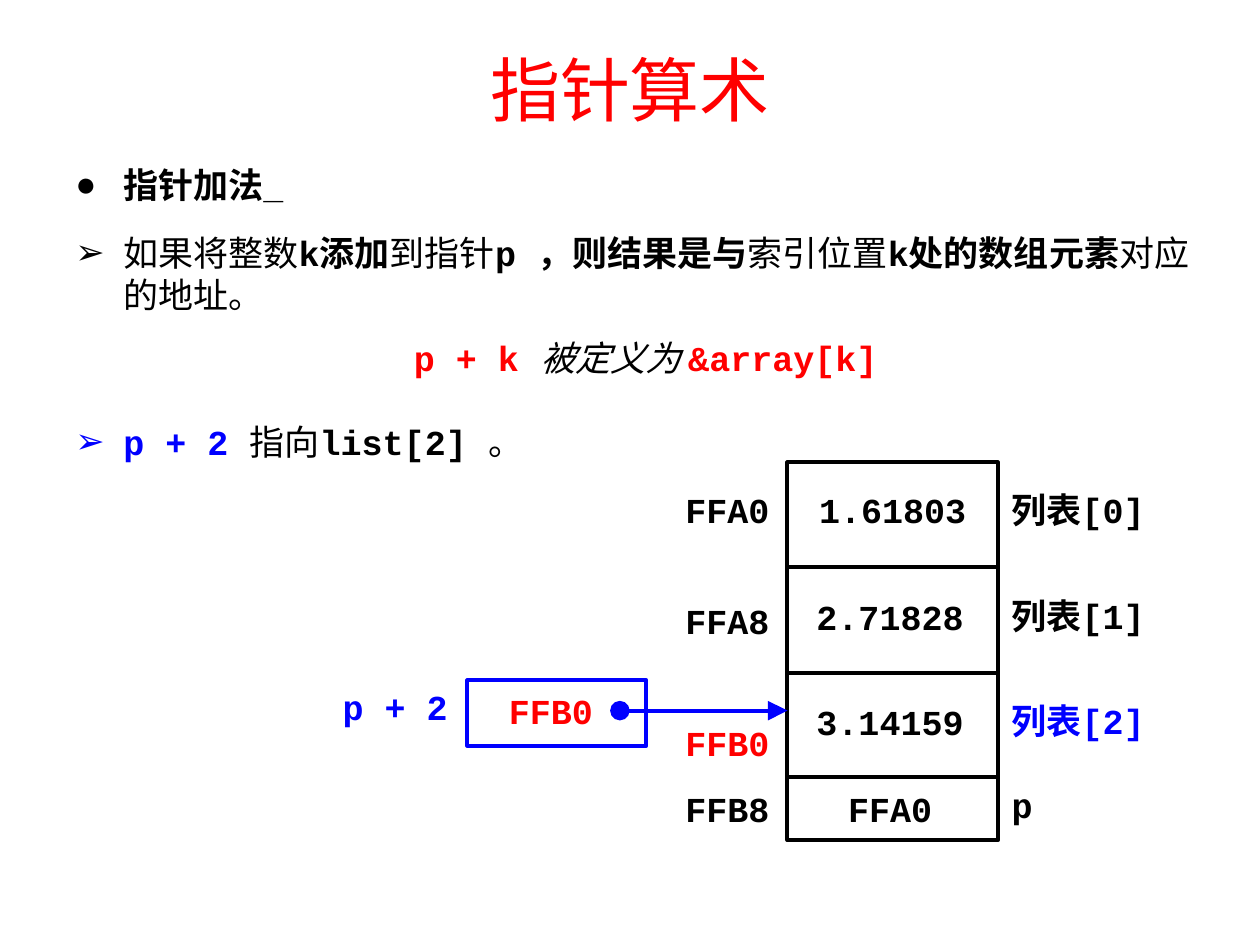
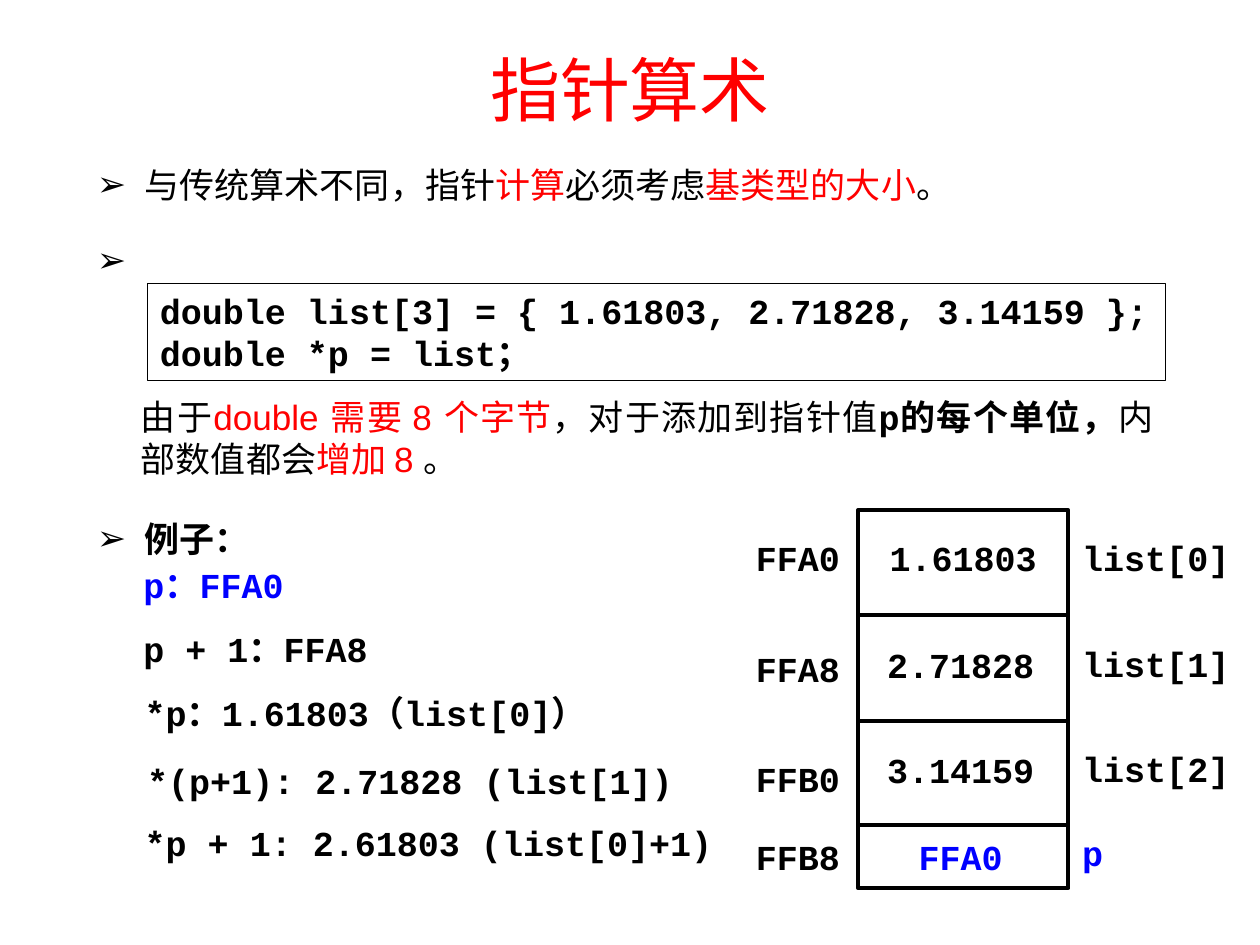
from dataclasses import dataclass

from lxml.etree import SubElement
from pptx import Presentation
from pptx.dml.color import RGBColor
from pptx.enum.shapes import MSO_CONNECTOR as Connector, MSO_SHAPE as Preset
from pptx.enum.text import MSO_ANCHOR as Anchor, PP_ALIGN as Align
from pptx.oxml.ns import qn
from pptx.util import Emu, Pt

# Shared look
BLACK = RGBColor(0x00, 0x00, 0x00)
WHITE = RGBColor(0xFF, 0xFF, 0xFF)
RED = RGBColor(0xFF, 0x00, 0x00)
BLUE = RGBColor(0x00, 0x00, 0xFF)
SANS, MONO, SERIF = "Arial", "Courier New", "Times New Roman"
EMU_PER_PX = 9144  # 100 px to the inch
BODY_SIZE, TITLE_SIZE = 20, 40
RULE_WIDTH, THIN_WIDTH = 2.25, 0.75
HANGING = 38
LABEL_HEIGHT = 50
ARROW, DOT = "➢", "●"


@dataclass(frozen=True)
class Span:
    """A stretch of text in one style; code style by default."""
    text: str
    color: RGBColor = BLACK
    font: str = MONO
    bold: bool = True
    italic: bool = False
    size: int = BODY_SIZE


@dataclass(frozen=True)
class Para:
    spans: tuple[Span, ...]
    align: Align = Align.LEFT
    bullet: str = ""
    before: int = 0
    after: int = 12


@dataclass(frozen=True)
class Cell:
    """One memory cell: its address, stored value and variable name."""
    address: Span
    value: Span
    name: Span
    address_drop: int = 0


@dataclass(frozen=True)
class RowOffset:
    """How far a memory row's upper edge and texts lie below the block's top."""
    edge: int
    address: int
    value: int
    name: int


@dataclass(frozen=True)
class Example:
    left: int
    top: int
    span: Span


# Memory block: three doubles and the pointer p
BLOCK_WIDTH, BLOCK_HEIGHT = 167, 300
ADDRESS_WIDTH, NAME_WIDTH = 92, 138
ROWS = (
    RowOffset(0, 16, 16, 16),
    RowOffset(83, 104, 101, 100),
    RowOffset(167, 191, 184, 183),
    RowOffset(250, 253, 253, 250),
)


def px(length: int) -> Emu:
    return Emu(length * EMU_PER_PX)


def sans(text: str, color: RGBColor = BLACK, italic: bool = False) -> Span:
    return Span(text, color, SANS, False, italic)


# Text
def write(frame, *paras: Para) -> None:
    frame.word_wrap = True
    for number, para in enumerate(paras):
        line = frame.add_paragraph() if number else frame.paragraphs[0]
        line.alignment = para.align
        line.space_before, line.space_after = Pt(para.before), Pt(para.after)
        if para.bullet:
            add_bullet(line, para.bullet)
        for span in para.spans:
            run = line.add_run()
            run.text = span.text
            run.font.name, run.font.size = span.font, Pt(span.size)
            run.font.bold, run.font.italic = span.bold, span.italic
            run.font.color.rgb = span.color


def add_bullet(line, mark: str) -> None:
    props = line._p.get_or_add_pPr()
    props.set("marL", str(px(HANGING)))
    props.set("indent", str(px(-HANGING)))
    SubElement(props, qn("a:buFont"), typeface=SANS)
    SubElement(props, qn("a:buChar"), char=mark)


def add_text(slide, left: int, top: int, width: int, height: int, *paras: Para) -> None:
    box = slide.shapes.add_textbox(px(left), px(top), px(width), px(height))
    write(box.text_frame, *paras)


def add_label(slide, left: int, top: int, width: int, span: Span,
              align: Align = Align.LEFT) -> None:
    add_text(slide, left, top, width, LABEL_HEIGHT, Para((span,), align))


# Frames and lines
def add_frame(slide, left: int, top: int, width: int, height: int,
              color: RGBColor = BLACK, weight: float = RULE_WIDTH):
    frame = slide.shapes.add_shape(Preset.RECTANGLE, px(left), px(top), px(width), px(height))
    frame.shadow.inherit = False
    frame.fill.background()
    frame.line.color.rgb, frame.line.width = color, Pt(weight)
    return frame


def add_rule(slide, left: int, right: int, y: int, color: RGBColor = BLACK):
    rule = slide.shapes.add_connector(Connector.STRAIGHT, px(left), px(y), px(right), px(y))
    rule.line.color.rgb, rule.line.width = color, Pt(RULE_WIDTH)
    SubElement(rule._element.spPr, qn("a:effectLst"))
    return rule


def add_pointer(slide, left: int, right: int, y: int, color: RGBColor) -> None:
    outline = add_rule(slide, left, right, y, color).line._get_or_add_ln()
    for end, kind in (("a:headEnd", "oval"), ("a:tailEnd", "triangle")):
        SubElement(outline, qn(end), type=kind, w="lg", len="lg")


def add_memory(slide, left: int, top: int, *cells: Cell) -> None:
    add_frame(slide, left, top, BLOCK_WIDTH, BLOCK_HEIGHT)
    right = left + BLOCK_WIDTH
    for row, cell in zip(ROWS, cells):
        if row.edge:
            add_rule(slide, left, right, top + row.edge)
        value_left = left - 2 if row.edge else left
        address_top = top + row.address + cell.address_drop
        add_label(slide, left - ADDRESS_WIDTH + 1, address_top, ADDRESS_WIDTH, cell.address)
        add_label(slide, value_left, top + row.value, BLOCK_WIDTH, cell.value, Align.CENTER)
        add_label(slide, right + 1, top + row.name, NAME_WIDTH, cell.name)


def add_titled_slide(deck):
    slide = deck.slides.add_slide(deck.slide_layouts[5])
    title = slide.shapes.title
    title.left, title.top, title.width, title.height = px(0), px(8), px(1000), px(125)
    title.text_frame.vertical_anchor = Anchor.MIDDLE
    heading = Span("指针算术", RED, SERIF, False, size=TITLE_SIZE)
    write(title.text_frame, Para((heading,), Align.CENTER, after=0))
    return slide


# Slide 1: adding an integer to a pointer
def build_addition(deck) -> None:
    slide = add_titled_slide(deck)
    topic = Span("指针加法_", font=SANS)
    rule = (sans("如果将整数"), Span("k添加"), sans("到指针"), Span("p ，则结果是与"),
            sans("索引位置"), Span("k处的数组元素"), sans("对应的地址。"))
    definition = (Span("p + k ", RED), sans("被定义为 ", italic=True), Span("&array[k]", RED))
    target = (Span("p + 2 ", BLUE), sans("指向"), Span("list[2] "), sans("。"))
    add_text(slide, 50, 125, 880, 83, Para((topic,), Align.JUSTIFY, DOT))
    add_text(slide, 50, 179, 925, 42,
             Para(rule, bullet=ARROW), Para(definition, Align.CENTER))
    add_text(slide, 50, 329, 842, 54, Para(target, bullet=ARROW))

    block_left = 625
    add_memory(
        slide, block_left, 367,
        Cell(Span("FFA0"), Span("1.61803"), Span("列表[0]")),
        Cell(Span("FFA8"), Span("2.71828"), Span("列表[1]")),
        Cell(Span("FFB0", RED), Span("3.14159"), Span("列表[2]", BLUE), address_drop=10),
        Cell(Span("FFB8"), Span("FFA0"), Span("p")),
    )

    # Pointer p + 2 and its target
    add_label(slide, 262, 539, NAME_WIDTH, Span("p + 2", BLUE))
    add_frame(slide, 371, 540, 142, 52, BLUE)
    add_label(slide, 394, 542, ADDRESS_WIDTH, Span("FFB0", RED))
    add_pointer(slide, 492, block_left, 564, BLUE)


# Slide 2: the size of the base type
EXAMPLES = (
    Example(104, 442, Span("p：FFA0", BLUE)),
    Example(104, 493, Span("p + 1：FFA8")),
    Example(105, 544, Span("*p：1.61803（list[0]）")),
    Example(107, 598, Span("*(p+1): 2.71828 (list[1])")),
    Example(105, 647, Span("*p + 1: 2.61803 (list[0]+1)")),
)
EXAMPLE_WIDTH = 487


def build_base_size(deck) -> None:
    slide = add_titled_slide(deck)
    lead = (sans("与传统算术不同，指针"), sans("计算", RED), sans("必须考虑"),
            sans("基类型的大小", RED), sans("。"))
    reason = (sans("由于"), sans("double 需要 8 个字节", RED), sans("，对于添加到指针值"),
              Span("p的每个单位，"), sans("内部数值都会"), sans("增加 8 ", RED), sans("。"))
    add_text(slide, 67, 125, 880, 83,
             Para(lead, Align.JUSTIFY, ARROW), Para((sans(ARROW),), before=6))
    add_text(slide, 102, 309, 823, 83, Para(reason, Align.JUSTIFY))

    # Declarations
    code = add_frame(slide, 117, 225, 808, 77, weight=THIN_WIDTH)
    code.fill.solid()
    code.fill.fore_color.rgb = WHITE
    code.text_frame.vertical_anchor = Anchor.TOP
    statements = ("double list[3] = { 1.61803, 2.71828, 3.14159 };", "double *p = list；")
    write(code.text_frame, *(Para((Span(statement),), after=0) for statement in statements))

    # Worked examples
    add_text(slide, 67, 406, 342, 54, Para((Span("例子："),), bullet=ARROW))
    for example in EXAMPLES:
        add_label(slide, example.left, example.top, EXAMPLE_WIDTH, example.span)

    add_memory(
        slide, 681, 405,
        Cell(Span("FFA0"), Span("1.61803"), Span("list[0]")),
        Cell(Span("FFA8"), Span("2.71828"), Span("list[1]")),
        Cell(Span("FFB0"), Span("3.14159"), Span("list[2]")),
        Cell(Span("FFB8"), Span("FFA0", BLUE), Span("p", BLUE)),
    )


def main() -> None:
    deck = Presentation()
    deck.slide_width, deck.slide_height = px(1000), px(750)
    build_addition(deck)
    build_base_size(deck)
    deck.save("out.pptx")


if __name__ == "__main__":
    main()
